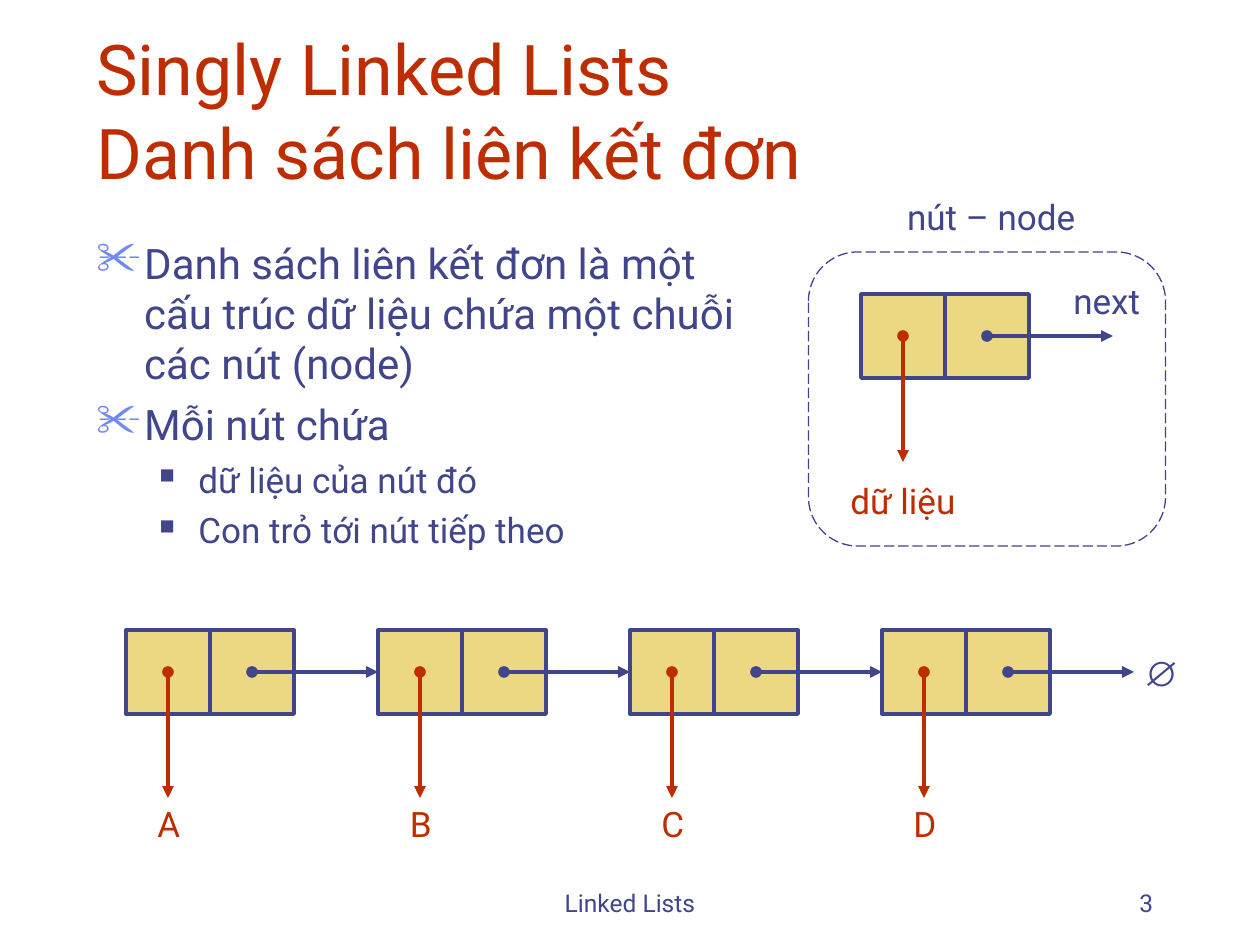
import pptx
import pptx.util
import pptx.dml.color
import pptx.enum.dml
import pptx.enum.shapes
import pptx.enum.text
import pptx.oxml
import pptx.oxml.ns

COLORS = {"ink": "40458C", "accent": "BE2D00", "cell": "ECD882", "scissors": "6F89F7"}
FONT = "Roboto"
COLUMNS, ROWS = 30, 22.5
CELL = 2  # side of one half of a node, in grid units
ARROW = 3  # length of a pointer, in grid units
LABEL_HEIGHT = 1.32
ALIGN = pptx.enum.text.PP_ALIGN
ANCHOR = pptx.enum.text.MSO_ANCHOR
SHAPE = pptx.enum.shapes.MSO_SHAPE


def grid(*units):
    """Turn grid units of a third of an inch into lengths."""
    return [pptx.util.Inches(unit / 3) for unit in units]


def color(name):
    return pptx.dml.color.RGBColor.from_string(COLORS[name])


def add_xml(parent, markup):
    namespace = pptx.oxml.ns.nsdecls("a")
    parent.append(pptx.oxml.parse_xml(markup.replace("/>", f" {namespace}/>", 1)))


def style_para(para, size, tint="ink", align=ALIGN.LEFT, font=FONT, bold=False):
    para.alignment = align
    for span in para.runs:
        span.font.name = font
        span.font.size = pptx.util.Pt(size)
        span.font.bold = bold
        span.font.color.rgb = color(tint)


def add_text(shapes, box, text, size, anchor=ANCHOR.TOP, wrap=True, **style):
    frame = shapes.add_textbox(*grid(*box)).text_frame
    frame.word_wrap = wrap
    frame.vertical_anchor = anchor
    frame.text = text
    style_para(frame.paragraphs[0], size, **style)


def add_label(shapes, center, top, width, text, **style):
    box = (center - width / 2, top, width, LABEL_HEIGHT)
    add_text(shapes, box, text, 20, wrap=False, align=ALIGN.CENTER, **style)


def add_outline(shapes, kind, box, weight):
    shape = shapes.add_shape(kind, *grid(*box))
    shape.shadow.inherit = False
    shape.fill.background()
    shape.line.color.rgb = color("ink")
    shape.line.width = pptx.util.Pt(weight)
    return shape


def add_pointer(shapes, start, end, tint):
    line = shapes.add_connector(pptx.enum.shapes.MSO_CONNECTOR.STRAIGHT, *grid(*start, *end))
    line.line.color.rgb = color(tint)
    line.line.width = pptx.util.Pt(2.25)
    outline = line.line._get_or_add_ln()
    add_xml(outline, '<a:headEnd type="oval"/>')
    add_xml(outline, '<a:tailEnd type="triangle"/>')
    add_xml(line._element.spPr, "<a:effectLst/>")


def add_node(shapes, left, top):
    """Two cells, with a data pointer going down and a next pointer going right."""
    for index in range(2):
        box = (left + index * CELL, top, CELL, CELL)
        cell = add_outline(shapes, SHAPE.RECTANGLE, box, 2.25)
        cell.fill.solid()
        cell.fill.fore_color.rgb = color("cell")
    middle = top + CELL / 2
    data, following = left + CELL / 2, left + CELL * 1.5
    add_pointer(shapes, (data, middle), (data, middle + ARROW), "accent")
    add_pointer(shapes, (following, middle), (following + ARROW, middle), "ink")


def add_body(page, box):
    kinds = {
        "main": dict(size=24, left=0.38, hang=0.38, before=6, mark="✂", tint="scissors", scale=110),
        "sub": dict(size=20, left=0.81, hang=0.31, before=5, mark="■", tint="ink", scale=60),
    }
    points = [
        ("main", "Danh sách liên kết đơn là một cấu trúc dữ liệu chứa một chuỗi các nút (node)"),
        ("main", "Mỗi nút chứa"),
        ("sub", "dữ liệu của nút đó"),
        ("sub", "Con trỏ tới nút tiếp theo"),
    ]
    frame = page.shapes.add_textbox(*grid(*box)).text_frame
    frame.word_wrap = True
    frame.text = "\n".join(text for _, text in points)
    for para, (name, _) in zip(frame.paragraphs, points):
        kind = kinds[name]
        style_para(para, kind["size"])
        para.level = 1 if name == "sub" else 0
        para.space_before = pptx.util.Pt(kind["before"])
        settings = para._p.get_or_add_pPr()
        settings.set("marL", str(pptx.util.Inches(kind["left"])))
        settings.set("indent", str(-pptx.util.Inches(kind["hang"])))
        tint = pptx.oxml.parse_xml(
            f'<a:buClr {pptx.oxml.ns.nsdecls("a")}><a:srgbClr val="{COLORS[kind["tint"]]}"/></a:buClr>')
        settings.append(tint)
        add_xml(settings, f'<a:buSzPct val="{kind["scale"] * 1000}"/>')
        add_xml(settings, f'<a:buChar char="{kind["mark"]}"/>')


def add_node_panel(page, box):
    """One labelled node inside a dashed frame."""
    left, top, width, _ = box
    shapes = page.shapes.add_group_shape().shapes
    frame = add_outline(shapes, SHAPE.ROUNDED_RECTANGLE, box, 0.75)
    frame.adjustments[0] = 0.167
    frame.line.dash_style = pptx.enum.dml.MSO_LINE.LONG_DASH
    add_node(shapes, left + 1.25, top + 1)
    add_label(shapes, left + width / 2 + 0.1, top - 1.5, 4.77, "nút – node")
    add_label(shapes, left + 7.1, top + 0.5, 2.31, "next")
    add_label(shapes, left + 2.25, top + 5.28, 3.3, "dữ liệu", tint="accent")


def add_chain(page, box):
    """A row of linked nodes that ends in the empty sign."""
    left, top, width, height = box
    names = "ABCD"
    pitch = width / len(names)
    shapes = page.shapes.add_group_shape().shapes
    for index, name in enumerate(names):
        start = left + index * pitch
        add_node(shapes, start, top)
        add_label(shapes, start + CELL / 2 + 0.02, top + height, 1.15, name, tint="accent")
    add_label(shapes, left + width + 0.57, top + 0.36, 1.26, "∅", font="Arial", bold=True)


def add_footer(page, top, height):
    bottom = dict(size=14, anchor=ANCHOR.BOTTOM)
    add_text(page.shapes, (10.25, top, 9.5, height), "Linked Lists", align=ALIGN.CENTER, **bottom)
    add_text(page.shapes, (21.5, top, 6.25, height), "3", align=ALIGN.RIGHT, **bottom)


def main():
    deck = pptx.Presentation()
    deck.slide_width, deck.slide_height = grid(COLUMNS, ROWS)
    page = deck.slides.add_slide(deck.slide_layouts[6])
    add_footer(page, 20.5, 1.5)
    add_text(page.shapes, (2, 1, 25.5, 3.75), "Singly Linked Lists\vDanh sách liên kết đơn",
             40, anchor=ANCHOR.BOTTOM, tint="accent")
    add_body(page, (2, 5.5, 16.25, 9))
    add_node_panel(page, (19.25, 6, 8.5, 7))
    add_chain(page, (3, 15, 24, 3.96))
    deck.save("out.pptx")


if __name__ == "__main__":
    main()
